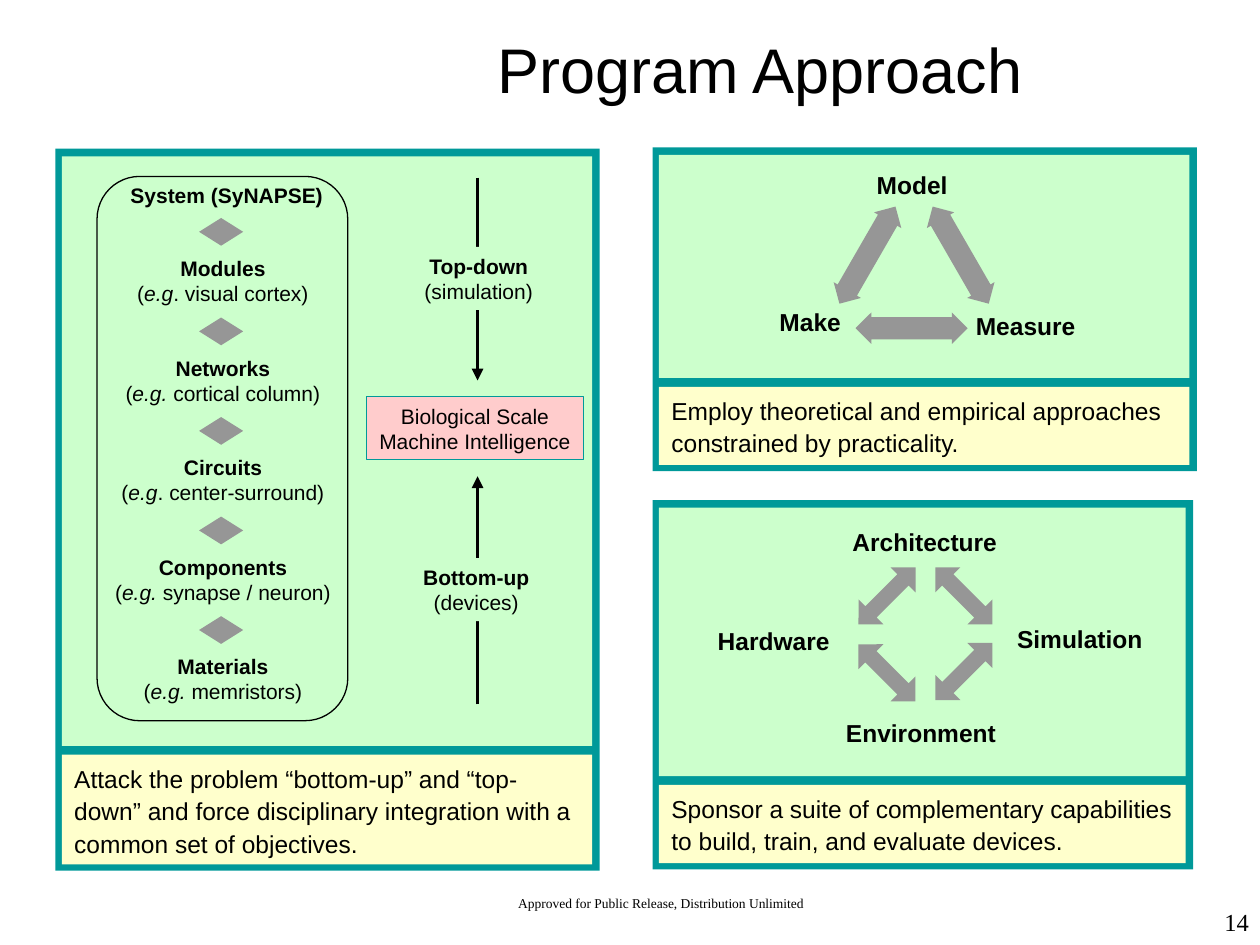
from lxml import etree
from pptx import Presentation
from pptx import util as u
from pptx.dml.color import RGBColor
from pptx.enum import shapes, text
from pptx.oxml.ns import qn

PX = 9144  # 100 px to the inch
HUE = dict(ink="000000", rim="009999", field="CCFFCC", note="FFFFCC",
           goal="FFCCCC", arrow="969696")
KIND = shapes.MSO_SHAPE
SIDE = text.PP_ALIGN


def px(*nums):
    return [u.Emu(round(n * PX)) for n in nums]


def rgb(name):
    return RGBColor.from_string(HUE[name])


def shape(slide, box, fill=None, line=None, kind=KIND.RECTANGLE):
    item = slide.shapes.add_shape(kind, *px(*box))
    item.shadow.inherit = False
    if fill:
        item.fill.solid()
        item.fill.fore_color.rgb = rgb(fill)
    else:
        item.fill.background()
    if line:
        item.line.color.rgb = rgb(line)
        item.line.width = u.Pt(0.75)
    else:
        item.line.fill.background()
    return item


def write(item, lines, size=14, face="Arial", side=SIDE.LEFT, lead=None,
          bold=False, wrap=True, anchor=text.MSO_ANCHOR.TOP):
    """Fill item with lines; bold marks the first, underscores fence italics."""
    frame = item.text_frame
    frame.word_wrap = wrap
    frame.vertical_anchor = anchor
    for i, line in enumerate(lines):
        para = frame.add_paragraph() if i else frame.paragraphs[0]
        para.alignment = side
        if lead:
            para.line_spacing = lead
        font = para.font
        font.name, font.size = face, u.Pt(size)
        font.bold = bold and i == 0
        font.color.rgb = rgb("ink")
        for j, part in enumerate(line.split("_")):
            run = para.add_run()
            run.text = part
            if j % 2:
                run.font.italic = True


def label(slide, mid, top, wide, lines, size=12, fill=None, line=None, bold=True):
    """Centre a tight block of lines on mid."""
    high = 50 if len(lines) > 1 else 34 if size == 14 else 30
    item = shape(slide, (mid - wide / 2, top, wide, high), fill, line)
    write(item, lines, size, side=SIDE.CENTER, bold=bold, wrap=False)


def arrow(slide, box, head, turn=0):
    item = shape(slide, box, "arrow", kind=KIND.UP_DOWN_ARROW)
    item.adjustments[0], item.adjustments[1] = 0.5, head
    item.rotation = turn


def pointer(slide, x, start, end):
    line = slide.shapes.add_connector(
        shapes.MSO_CONNECTOR.STRAIGHT, *px(x, start, x, end))
    line.line.color.rgb = rgb("ink")
    line.line.width = u.Pt(2.25)
    tail = etree.SubElement(line.line._get_or_add_ln(), qn("a:tailEnd"))
    tail.set("type", "triangle")
    etree.SubElement(line._element.spPr, qn("a:effectLst"))


def panel(slide, box, high, note):
    """Draw a rimmed field above a note of the given height."""
    x, y, w, h = box
    top = y + h - 5 - high
    shape(slide, box, "rim")
    shape(slide, (x + 5, y + 6, w - 11, top - y - 13), "field")
    item = shape(slide, (x + 5, top, w - 11, high), "note")
    write(item, [note], lead=1.1)


def levels(slide, box):
    x, y = box[:2]
    panel(slide, box, 87,
          "Attack the problem “bottom-up” and “top-down” and force "
          "disciplinary integration with a common set of objectives.")
    hull = shape(slide, (x + 33, y + 22, 199, 432), line="ink",
                 kind=KIND.ROUNDED_RECTANGLE)
    hull.adjustments[0] = 0.17
    label(slide, x + 136, y + 22, 177, ["System (SyNAPSE)"])
    stack = [
        ("Modules", "(_e.g_. visual cortex)", 156),
        ("Networks", "(_e.g._ cortical column)", 174),
        ("Circuits", "(_e.g_. center-surround)", 181),
        ("Components", "(_e.g._ synapse / neuron)", 191),
        ("Materials", "(_e.g. _memristors)", 146),
    ]
    for i, (name, case, wide) in enumerate(stack):
        top = y + 55 + 79 * i
        arrow(slide, (x + 114, top, 35, 22), 0.2)
        label(slide, x + 133, top + 25, wide, [name, case])

    pointer(slide, x + 335, y + 23, y + 184)
    label(slide, x + 336, y + 78, 106, ["Top-down", "(simulation)"], fill="field")
    pointer(slide, x + 335, y + 441, y + 260)
    label(slide, x + 334, y + 325, 104, ["Bottom-up", "(devices)"], fill="field")
    label(slide, x + 333, y + 197, 172, ["Biological Scale", "Machine Intelligence"],
          fill="goal", line="rim", bold=False)


def cycle(slide, box, note, names, size, head, arrows):
    """Place names (text, mid, top, width) and arrows (left, top, turn)."""
    x, y = box[:2]
    panel(slide, box, 62, note)
    for name, mid, top, wide in names:
        label(slide, x + mid, y + top, wide, [name], 14)
    for left, top, turn in arrows:
        arrow(slide, (x + left, y + top, *size), head, turn)


def caption(slide, box, words, **style):
    write(slide.shapes.add_textbox(*px(*box)), [words], **style)


def main():
    deck = Presentation()
    deck.slide_width, deck.slide_height = px(1000, 750)
    slide = deck.slides.add_slide(deck.slide_layouts[6])

    caption(slide, (206, 0, 794, 108), "Program Approach", size=36,
            side=SIDE.CENTER, anchor=text.MSO_ANCHOR.MIDDLE)
    levels(slide, (44, 118, 432, 573))
    cycle(slide, (518, 117, 432, 257),
          "Employ theoretical and empirical approaches constrained by practicality.",
          [("Model", 206, 13, 76), ("Make", 125, 122, 69), ("Measure", 296, 125, 99)],
          (25, 89), 0.71, [(158, 41, 30), (232, 41, 330), (193, 99, 90)])
    cycle(slide, (518, 397, 429, 293),
          "Sponsor a suite of complementary capabilities to build, train, "
          "and evaluate devices.",
          [("Architecture", 216, 16, 140), ("Hardware", 96, 95, 109),
           ("Simulation", 339, 93, 119), ("Environment", 213, 168, 139)],
          (28, 64), 0.45,
          [(172, 44, 45), (233, 44, 315), (172, 105, 315), (233, 104, 45)])
    caption(slide, (283, 708, 483, 25),
            "Approved for Public Release, Distribution Unlimited",
            size=7.7, face="Times New Roman", side=SIDE.CENTER, lead=0.8)
    caption(slide, (793, 715, 208, 50), "14", face="Times New Roman",
            side=SIDE.RIGHT)
    deck.save("out.pptx")


if __name__ == "__main__":
    main()
